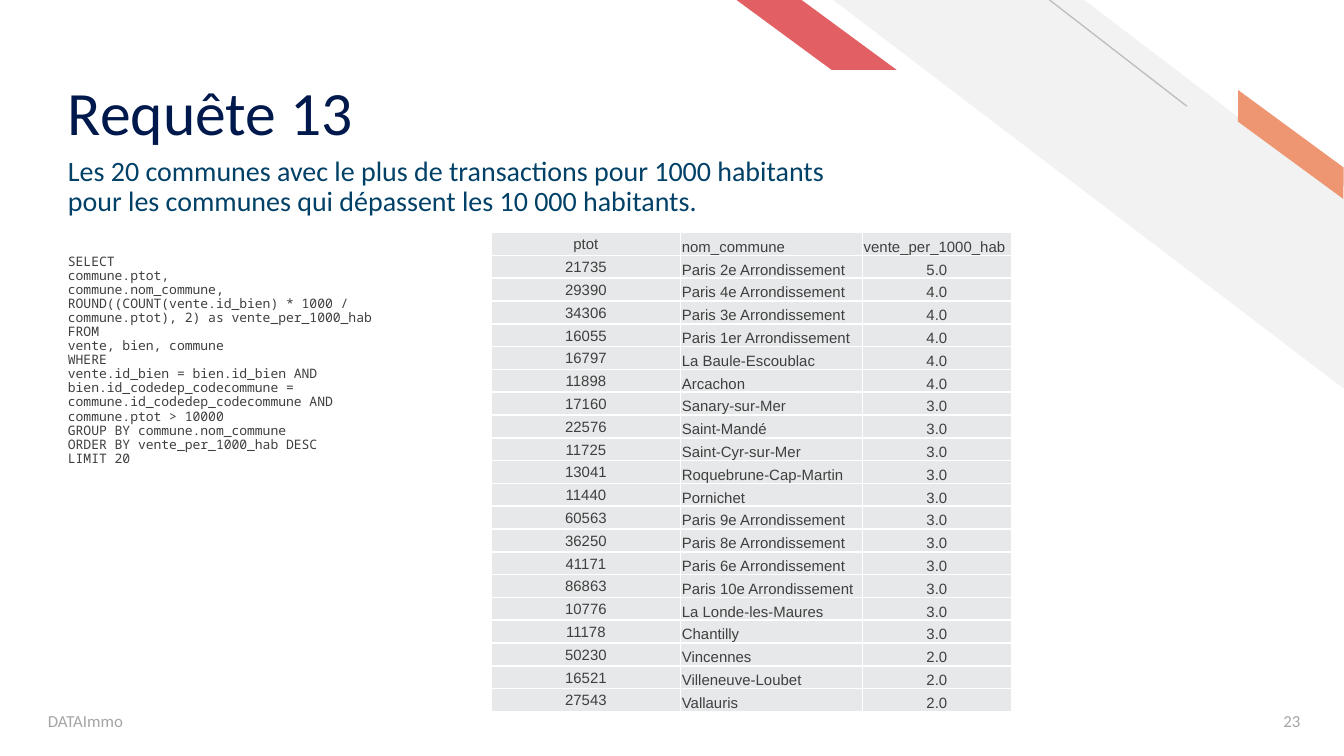
import pptx
import pptx.dml.color
import pptx.enum.shapes
import pptx.enum.text
import pptx.oxml
import pptx.oxml.ns
import pptx.util
from lxml import etree

Pt = pptx.util.Pt
SHAPE = pptx.enum.shapes.MSO_SHAPE
ALIGN = pptx.enum.text.PP_ALIGN
ANCHOR = pptx.enum.text.MSO_ANCHOR
qn = pptx.oxml.ns.qn

TITLE = "Requête 13"
SUBTITLE = ("Les 20 communes avec le plus de transactions pour 1000 habitants "
            "pour les communes qui dépassent les 10 000 habitants.")
QUERY = """SELECT
commune.ptot,
commune.nom_commune,
ROUND((COUNT(vente.id_bien) * 1000 / commune.ptot), 2) as vente_per_1000_hab
FROM
vente, bien, commune
WHERE
vente.id_bien = bien.id_bien AND
bien.id_codedep_codecommune = commune.id_codedep_codecommune AND
commune.ptot > 10000
GROUP BY commune.nom_commune
ORDER BY vente_per_1000_hab DESC
LIMIT 20"""
RESULTS = [
    ("ptot", "nom_commune", "vente_per_1000_hab"),
    ("21735", "Paris 2e Arrondissement", "5.0"),
    ("29390", "Paris 4e Arrondissement", "4.0"),
    ("34306", "Paris 3e Arrondissement", "4.0"),
    ("16055", "Paris 1er Arrondissement", "4.0"),
    ("16797", "La Baule-Escoublac", "4.0"),
    ("11898", "Arcachon", "4.0"),
    ("17160", "Sanary-sur-Mer", "3.0"),
    ("22576", "Saint-Mandé", "3.0"),
    ("11725", "Saint-Cyr-sur-Mer", "3.0"),
    ("13041", "Roquebrune-Cap-Martin", "3.0"),
    ("11440", "Pornichet", "3.0"),
    ("60563", "Paris 9e Arrondissement", "3.0"),
    ("36250", "Paris 8e Arrondissement", "3.0"),
    ("41171", "Paris 6e Arrondissement", "3.0"),
    ("86863", "Paris 10e Arrondissement", "3.0"),
    ("10776", "La Londe-les-Maures", "3.0"),
    ("11178", "Chantilly", "3.0"),
    ("50230", "Vincennes", "2.0"),
    ("16521", "Villeneuve-Loubet", "2.0"),
    ("27543", "Vallauris", "2.0"),
]
COLUMN_WIDTHS = (101.4, 97.4, 79.8)
ROW_HEIGHT = 12.23

# preset, left, top, width, height, rotation, adjustment, colour
STRIPES = [
    (SHAPE.DIAGONAL_STRIPE, 446.4, 0, 274.3, 208.8, 0, 0.51, "F2F2F2"),
    (SHAPE.PARALLELOGRAM, 651.6, 70.6, 79.9, 13.7, 36.3, 0.72, "EE9571"),
    (SHAPE.PARALLELOGRAM, 394.6, 0, 85.7, 37.4, 0, 1.36, "E26064"),
]
# text, (left, top, width, height), format
TEXTS = [
    (TITLE, (31, 12.2, 491.8, 67.7),
     dict(size=33, color="00194C", anchor=ANCHOR.BOTTOM, spacing=0.9, bottom=0)),
    (SUBTITLE, (31, 81.4, 434.9, 36), dict(size=15, color="014067", spacing=0.9)),
    (QUERY, (31, 133.9, 199.4, 118.8),
     dict(size=7, color="3F3F3F", font="Noto Sans Mono", spacing=0.9)),
    ("DATAImmo", (20.2, 375.1, 243.4, 21.6),
     dict(size=9, color="A5A5A5", anchor=ANCHOR.MIDDLE)),
    ("23", (658.1, 375.1, 43.9, 21.6),
     dict(size=9, color="A5A5A5", anchor=ANCHOR.MIDDLE, align=ALIGN.RIGHT)),
]


def rgb(value):
    return pptx.dml.color.RGBColor.from_string(value)


def write(frame, text, size, color, font="Calibri", align=ALIGN.LEFT, spacing=None):
    """Fill a text frame, one paragraph for each line of text."""
    for number, line in enumerate(text.split("\n")):
        para = frame.add_paragraph() if number else frame.paragraphs[0]
        para.alignment = align
        if spacing:
            para.line_spacing = spacing
        span = para.add_run()
        span.text = line
        span.font.size = Pt(size)
        span.font.name = font
        span.font.color.rgb = rgb(color)


def add_text(page, text, place, anchor=ANCHOR.TOP, bottom=2.7, **style):
    frame = page.shapes.add_textbox(*map(Pt, place)).text_frame
    frame.word_wrap = True
    frame.vertical_anchor = anchor
    frame.margin_left = frame.margin_right = Pt(5.4)
    frame.margin_top, frame.margin_bottom = Pt(2.7), Pt(bottom)
    write(frame, text, **style)


def add_stripe(page, preset, left, top, width, height, rotation, adjustment, color):
    stripe = page.shapes.add_shape(preset, Pt(left), Pt(top), Pt(width), Pt(height))
    stripe.adjustments[0] = adjustment
    stripe.rotation = rotation
    stripe.element.spPr.find(qn("a:xfrm")).set("flipH", "1")
    stripe.shadow.inherit = False
    stripe.fill.solid()
    stripe.fill.fore_color.rgb = rgb(color)
    stripe.line.fill.background()


def add_thin_line(page):
    line = page.shapes.add_connector(
        pptx.enum.shapes.MSO_CONNECTOR.STRAIGHT, Pt(635.8), Pt(56.9), Pt(562.3), Pt(0))
    line.line.color.rgb = rgb("BFBFBF")
    line.line.width = Pt(0.75)
    etree.SubElement(line.element.spPr, qn("a:effectLst"))


def set_borders(cell, color, width):
    properties = cell._tc.get_or_add_tcPr()
    for side in ("lnL", "lnR", "lnT", "lnB"):
        border = etree.SubElement(properties, qn(f"a:{side}"), w=str(Pt(width)))
        fill = etree.SubElement(border, qn("a:solidFill"))
        etree.SubElement(fill, qn("a:srgbClr"), val=color)


def add_results(page):
    table = page.shapes.add_table(
        len(RESULTS), len(COLUMN_WIDTHS), Pt(263.2), Pt(124.6),
        Pt(sum(COLUMN_WIDTHS)), Pt(ROW_HEIGHT * len(RESULTS))).table
    table.first_row = table.horz_banding = False
    for column, width in zip(table.columns, COLUMN_WIDTHS):
        column.width = Pt(width)
    for row_number, values in enumerate(RESULTS):
        table.rows[row_number].height = Pt(ROW_HEIGHT)
        for column_number, value in enumerate(values):
            cell = table.cell(row_number, column_number)
            set_borders(cell, "FFFFFF", 1)
            cell.fill.solid()
            cell.fill.fore_color.rgb = rgb("E7E8E9")
            cell.margin_left = cell.margin_right = cell.margin_top = Pt(0.7)
            cell.margin_bottom = 0
            cell.vertical_anchor = ANCHOR.BOTTOM if column_number else ANCHOR.MIDDLE
            left_aligned = column_number == 1 or (row_number == 0 and column_number == 2)
            write(cell.text_frame, value, size=8, color="3F3F3F", font="Arial",
                  align=ALIGN.LEFT if left_aligned else ALIGN.CENTER)


def main():
    deck = pptx.Presentation()
    deck.slide_width, deck.slide_height = Pt(720), Pt(405)
    page = deck.slides.add_slide(deck.slide_layouts[6])
    for stripe in STRIPES:
        add_stripe(page, *stripe)
    add_thin_line(page)
    for text, place, style in TEXTS:
        add_text(page, text, place, **style)
    add_results(page)
    deck.save("out.pptx")


if __name__ == "__main__":
    main()
